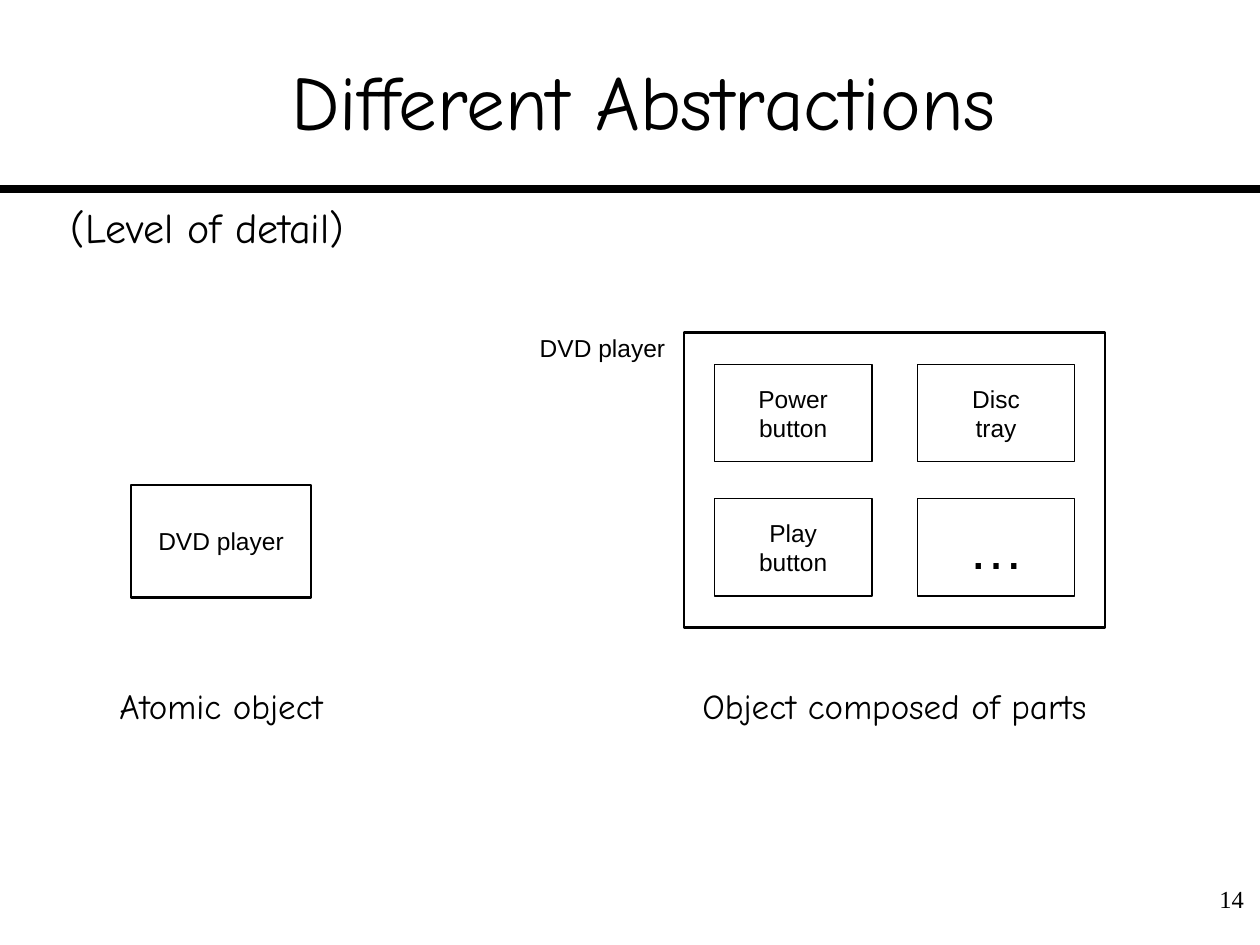
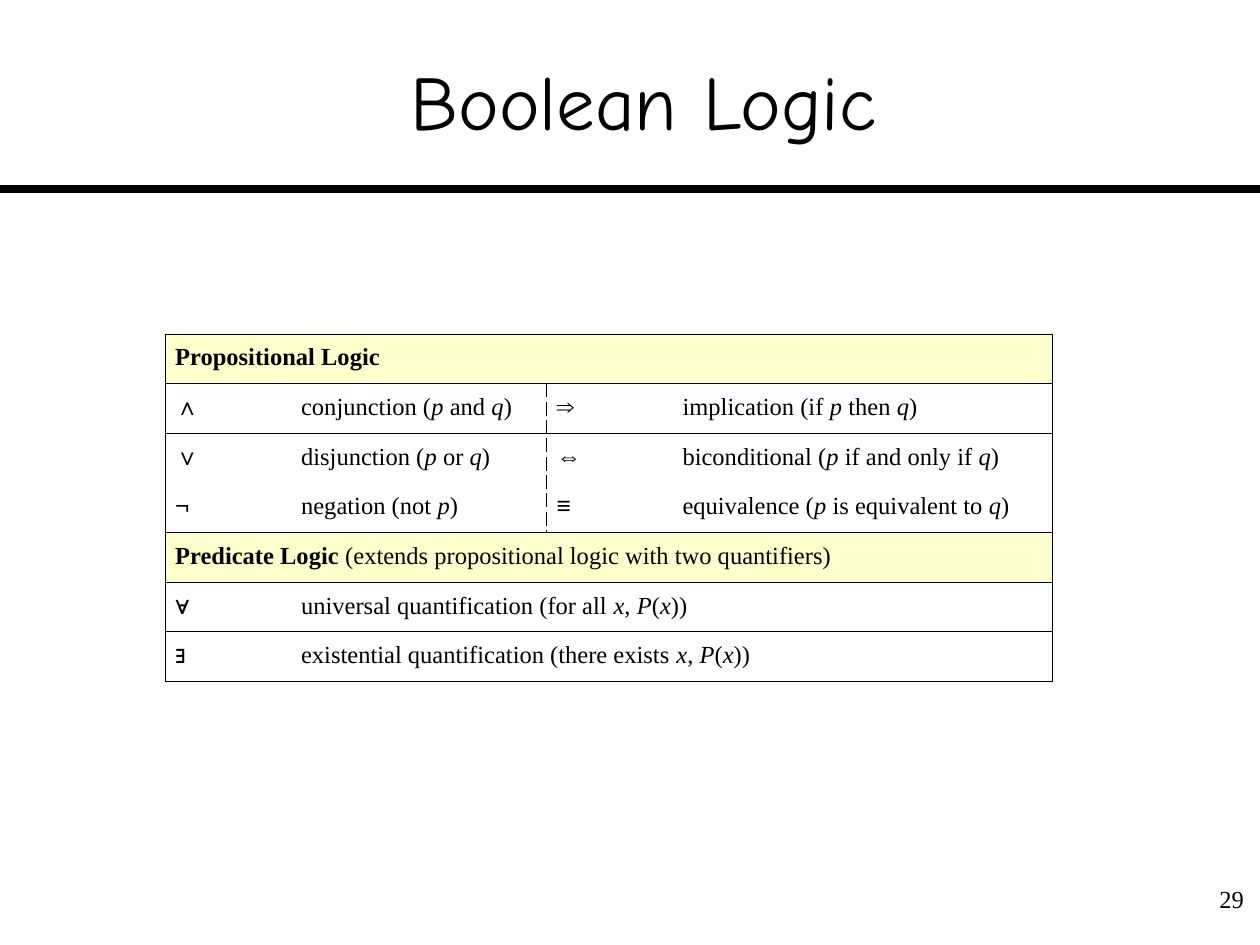
from dataclasses import dataclass
from lxml.etree import SubElement
from pptx import Presentation
from pptx.dml.color import RGBColor
from pptx.enum.shapes import MSO_CONNECTOR as Connector, MSO_SHAPE as Shape
from pptx.enum.text import MSO_ANCHOR as Anchor, MSO_AUTO_SIZE as AutoSize, PP_ALIGN as Align
from pptx.oxml.ns import qn
from pptx.util import Inches, Pt


@dataclass(frozen=True)
class Theme:
    ink: RGBColor = RGBColor.from_string("000000")
    paper: RGBColor = RGBColor.from_string("FFFFFF")
    band: RGBColor = RGBColor.from_string("FFFFCC")
    hand: str = "Comic Neue"
    sans: str = "Arial"
    serif: str = "Times New Roman"
    title: int = 44
    ellipsis: int = 32
    lead: int = 24
    caption: int = 20
    body: int = 14
    rule: float = 4.5
    frame: float = 1.5
    thin: float = 0.75
    hair: float = 0.45


THEME = Theme()
COLUMNS, ROWS = 100, 75  # the page grid; each cell is a tenth of an inch
UNIT = Inches(0.1)
NO_GRID_STYLE = "{2D5ABB26-0587-4C30-8999-92F81FD0307C}"


@dataclass(frozen=True)
class Box:
    """A region in grid columns and rows."""
    left: float
    top: float
    width: float
    height: float

    def place(self):
        return [round(n * UNIT) for n in (self.left, self.top, self.width, self.height)]

    def cells(self, across, down, margin, gap):
        """Split into equal cells, row by row; margin and gap are (x, y)."""
        width = (self.width - 2 * margin[0] - (across - 1) * gap[0]) / across
        height = (self.height - 2 * margin[1] - (down - 1) * gap[1]) / down
        return [Box(self.left + margin[0] + col * (width + gap[0]),
                    self.top + margin[1] + row * (height + gap[1]), width, height)
                for row in range(down) for col in range(across)]


# Shared text and shape helpers
def style_font(font, name, size):
    font.name, font.size = name, Pt(size)
    font.color.rgb = THEME.ink


def write(frame, text, name, size, align, anchor=Anchor.TOP, wrap=False, insets=(0.1, 0.05)):
    frame.text = text
    frame.word_wrap = wrap
    frame.vertical_anchor = anchor
    frame.margin_left = frame.margin_right = Inches(insets[0])
    frame.margin_top = frame.margin_bottom = Inches(insets[1])
    for para in frame.paragraphs:
        para.alignment = align
        style_font(para.font, name, size)


def add_label(page, box, text, name, size, align):
    label = page.shapes.add_textbox(*box.place())
    write(label.text_frame, text, name, size, align, insets=(0.01, 0))


def add_block(shapes, box, weight, text="", size=THEME.body, filled=True):
    block = shapes.add_shape(Shape.RECTANGLE, *box.place())
    block.shadow.inherit = False
    if filled:
        block.fill.solid()
        block.fill.fore_color.rgb = THEME.paper
    else:
        block.fill.background()
    block.line.color.rgb = THEME.ink
    block.line.width = Pt(weight)
    if text:
        write(block.text_frame, text, THEME.sans, size, Align.CENTER, Anchor.MIDDLE)


# Page frame: rule, title and page number
def add_page(deck, title, number):
    page = deck.slides.add_slide(deck.slide_layouts.get_by_name("Title Only"))
    rule = page.shapes.add_connector(Connector.STRAIGHT, 0, 15 * UNIT, COLUMNS * UNIT, 15 * UNIT)
    rule.line.color.rgb = THEME.ink
    rule.line.width = Pt(THEME.rule)
    SubElement(rule._element.spPr, qn("a:effectLst"))

    heading = page.shapes.title
    heading.left, heading.top, heading.width, heading.height = Box(4.2, 1.7, 93.8, 12.5).place()
    write(heading.text_frame, title, THEME.hand, THEME.title, Align.CENTER,
          Anchor.MIDDLE, wrap=True, insets=(0, 0.05))
    heading.text_frame.auto_size = AutoSize.NONE

    footer = page.shapes.add_textbox(*Box(93.5, 69.7, 6.2, 5).place())
    write(footer.text_frame, str(number), THEME.serif, THEME.body, Align.RIGHT, wrap=True)
    return page


# Abstraction slide
def add_composed_player(page, box, parts):
    group = page.shapes.add_group_shape()
    add_block(group.shapes, box, THEME.frame, filled=False)
    for cell, part in zip(box.cells(2, 2, margin=(2.4, 2.5), gap=(3.6, 2.9)), parts):
        size = THEME.ellipsis if part == "…" else THEME.body
        add_block(group.shapes, cell, THEME.thin, part, size)
    add_label(page, Box(box.left - 11.6, box.top, 10.2, 2.3), "DVD player",
              THEME.sans, THEME.body, Align.RIGHT)


def add_caption(page, box, text, width):
    """Centre a caption under a box, on the line shared by all captions."""
    spot = Box(box.left + (box.width - width) / 2, 54.3, width, 3.3)
    add_label(page, spot, text, THEME.hand, THEME.caption, Align.CENTER)


def build_abstractions(deck):
    page = add_page(deck, "Different Abstractions", 14)
    add_label(page, Box(5.5, 16, 22.2, 4), "(Level of detail)", THEME.hand, THEME.lead, Align.LEFT)
    atomic, composed = Box(10.4, 38.5, 14.3, 8.9), Box(54.3, 26.4, 33.4, 23.4)
    add_block(page.shapes, atomic, THEME.frame, "DVD player")
    add_composed_player(page, composed, ["Power\nbutton", "Disc\ntray", "Play\nbutton", "…"])
    add_caption(page, atomic, "Atomic object", 16.4)
    add_caption(page, composed, "Object composed of parts", 30.8)


# Logic slide: each row lists its cells; * marks bold, _ italic, ~ a symbol
LOGIC_ROWS = [
    ["*Propositional Logic*"],
    ["~∧\t~conjunction (_p_ and _q_)", "~⇒\t~implication (if _p_ then _q_)"],
    ["~∨\t~disjunction (_p_ or _q_)", "~⇔\t~biconditional (_p_ if and only if _q_)"],
    ["~¬\t~negation (not _p_)", "~≡\t~equivalence (_p_ is equivalent to _q_)"],
    ["*Predicate Logic* (extends propositional logic with two quantifiers)"],
    ["~∀\t~universal quantification (for all _x_, _P_(_x_))"],
    ["~∃\t~existential quantification (there exists _x_, _P_(_x_))"],
]


def split_marks(text):
    """Yield (piece, marks in force) for marked text."""
    marks, piece = set(), ""
    for char in text:
        if char in "*_~":
            if piece:
                yield piece, set(marks)
            marks ^= {char}
            piece = ""
        else:
            piece += char
    if piece:
        yield piece, marks


def fill_cell(cell, text):
    cell.vertical_anchor = Anchor.MIDDLE
    cell.margin_left = cell.margin_right = Inches(0.08)
    para = cell.text_frame.paragraphs[0]
    para.alignment = Align.JUSTIFY
    para.line_spacing = Pt(THEME.body)
    tabs = SubElement(para._p.get_or_add_pPr(), qn("a:tabLst"))
    SubElement(tabs, qn("a:tab"), pos=str(Inches(1)), algn="l")
    style_font(para.font, THEME.serif, THEME.body)
    for piece, marks in split_marks(text):
        span = para.add_run()
        span.text = piece
        style_font(span.font, THEME.sans if "~" in marks else THEME.serif, THEME.body)
        span.font.bold = "*" in marks
        span.font.italic = "_" in marks


def draw_borders(cell, edges, dashed):
    props = cell._tc.get_or_add_tcPr()
    for edge in (side for side in "LRTB" if side in edges):
        line = SubElement(props, qn(f"a:ln{edge}"), w=str(Pt(THEME.hair)))
        SubElement(SubElement(line, qn("a:solidFill")), qn("a:srgbClr"), val=str(THEME.ink))
        SubElement(line, qn("a:prstDash"), val="dash" if edge == dashed else "solid")


def add_logic_table(page, box, rows, left_share):
    frame = page.shapes.add_table(len(rows), 2, *box.place())
    table = frame.table
    table.first_row = table.horz_banding = False
    table._tbl.tblPr.find(qn("a:tableStyleId")).text = NO_GRID_STYLE
    for column, share in zip(table.columns, (left_share, 1 - left_share)):
        column.width = round(box.width * share * UNIT)

    headings = [texts[0].startswith("*") for texts in rows]
    for r, texts in enumerate(rows):
        merged = len(texts) == 1
        if merged:
            table.cell(r, 0).merge(table.cell(r, 1))
        # Horizontal lines run around headings and the outer edge only
        edges = "T" if headings[r] or r == 0 or headings[r - 1] else ""
        edges += "B" if headings[r] or r == len(rows) - 1 or headings[r + 1] else ""
        for c in range(2):
            cell = table.cell(r, c)
            sides = "R" if merged and c else "LR"
            draw_borders(cell, edges + sides, dashed=None if merged else "RL"[c])
            if headings[r]:
                cell.fill.solid()
                cell.fill.fore_color.rgb = THEME.band
            else:
                cell.fill.background()
            if c < len(texts):
                fill_cell(cell, texts[c])


def build_logic(deck):
    page = add_page(deck, "Boolean Logic", 29)
    add_logic_table(page, Box(13.1, 26.5, 70.4, 27.6), LOGIC_ROWS, left_share=0.43)


def main():
    deck = Presentation()
    deck.slide_width, deck.slide_height = COLUMNS * UNIT, ROWS * UNIT
    build_abstractions(deck)
    build_logic(deck)
    deck.save("out.pptx")


if __name__ == "__main__":
    main()
